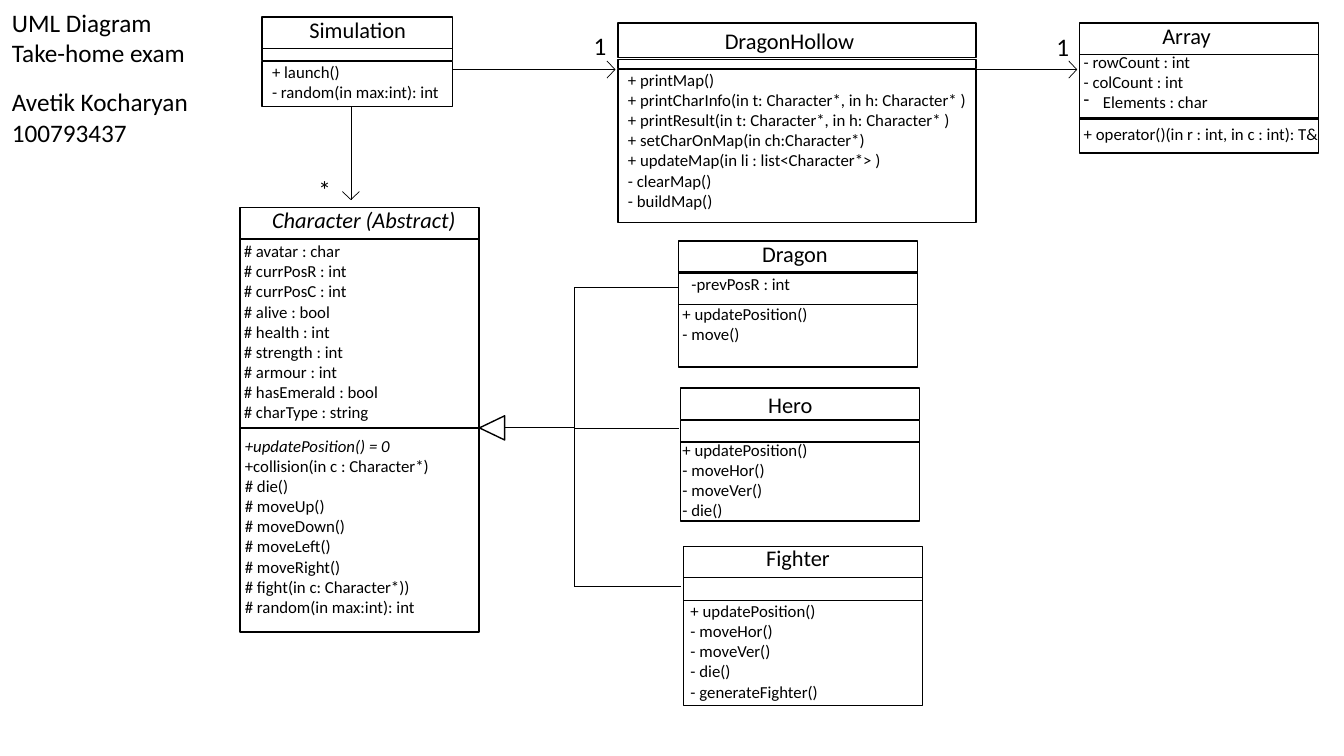
"""Draw a UML class diagram of a dungeon simulation on one slide."""
from lxml import etree
from pptx import Presentation
from pptx.dml.color import RGBColor
from pptx.enum.shapes import MSO_CONNECTOR, MSO_SHAPE
from pptx.enum.text import MSO_AUTO_SIZE
from pptx.oxml.ns import qn
from pptx.util import Inches, Pt

RECT = MSO_SHAPE.RECTANGLE
CONE = MSO_SHAPE.FLOWCHART_EXTRACT
LINE = MSO_CONNECTOR.STRAIGHT
GROW = MSO_AUTO_SIZE.SHAPE_TO_FIT_TEXT
THEME = {
    "ink": RGBColor(0, 0, 0), "font": "Calibri",
    "note": 18, "head": 16, "body": 12,
    "edge": Pt(1), "wire": Pt(0.5),
}
CELL = Inches(0.1)

deck = Presentation()
deck.slide_width, deck.slide_height = Inches(13.33), Inches(7.5)
slide = deck.slides.add_slide(deck.slide_layouts[6])
shapes = slide.shapes


def grid(*cells):
    return [round(cell * CELL) for cell in cells]


def write(text, at, size="body", slant=0, dash=None):
    box = shapes.add_textbox(*grid(*at))
    frame = box.text_frame
    frame.word_wrap = True
    frame.auto_size = GROW
    for row, line in enumerate(text.split("\n")):
        para = frame.add_paragraph() if row else frame.paragraphs[0]
        run = para.add_run()
        run.text = line
        run.font.name = THEME["font"]
        run.font.size = Pt(THEME[size])
        run.font.color.rgb = THEME["ink"]
        run.font.italic = row < slant
        if row == dash:
            props = para._p.get_or_add_pPr()
            props.set("marL", str(Inches(0.19)))
            props.set("indent", str(-Inches(0.19)))
            etree.SubElement(props, qn("a:buChar")).set("char", "-")


# name, title (left, top, width), slant, left edge, width, bands (top, height)
classes = [
    ("Simulation", (29.7, 1.1, 11.9), 0, 26, 18.9,
     [(1.7, 3.1), (4.8, 1.2), (6.1, 4.5)]),
    ("DragonHollow", (70.9, 2.2, 18), 0, 61.3, 35.5,
     [(2.3, 3.4), (5.9, 0.9), (6.9, 15.2)]),
    ("Array", (114.3, 1.7, 18), 0, 107.1, 23.7,
     [(2.3, 3.1), (5.4, 6.4), (11.7, 3.5)]),
    ("Character (Abstract)", (26, 20, 20.3), 1, 23.8, 23.7,
     [(20.6, 3.1), (23.7, 18.8), (42.4, 20.3)]),
    ("Dragon", (74.6, 23.3, 9), 0, 67.3, 23.7,
     [(23.9, 3.1), (27.1, 3.1), (30.2, 6.2)]),
    ("Hero", (75.2, 38.3, 18.2), 0, 67.5, 23.7,
     [(38.5, 3.1), (41.7, 2.2), (43.8, 7.9)]),
    ("Fighter", (75, 53.5, 18.2), 0, 67.8, 23.7,
     [(54.2, 3.1), (57.3, 2.3), (59.6, 10.4)]),
]
boxes = [(RECT, left, top, width, height, 0)
         for _, _, _, left, width, bands in classes for top, height in bands]
boxes.append((CONE, 47.6, 41.2, 2.4, 2.5, 270))
for kind, left, top, width, height, turn in boxes:
    box = shapes.add_shape(kind, *grid(left, top, width, height))
    box.shadow.inherit = False
    box.fill.background()
    box.line.color.rgb = THEME["ink"]
    box.line.width = THEME["edge"]
    box.rotation = turn
for name, (left, top, width), slant, *_ in classes:
    write(name, (left, top, width, 3.7), size="head", slant=slant)

write("+ launch()\n- random(in max:int): int", (26, 5.6, 19.6, 5))
write("""+ printMap()
+ printCharInfo(in t: Character*, in h: Character* )
+ printResult(in t: Character*, in h: Character* )
+ setCharOnMap(in ch:Character*)
+ updateMap(in li : list<Character*> )
- clearMap()
- buildMap()""", (61.3, 6.4, 35.9, 15.1))
write("- rowCount : int\n- colCount : int\nElements : char",
      (106.5, 4.6, 26.2, 11.1), dash=2)
write("+ operator()(in r : int, in c : int): T&", (106.5, 11.8, 26.2, 3))
write("""# avatar : char
# currPosR : int
# currPosC : int
# alive : bool
# health : int
# strength : int
# armour : int
# hasEmerald : bool
# charType : string""", (23.2, 23.4, 23.1, 19.2))
write("""+updatePosition() = 0
+collision(in c : Character*)
# die()
# moveUp()
# moveDown()
# moveLeft()
# moveRight()
# fight(in c: Character*))
# random(in max:int): int""", (23.3, 42.7, 23.1, 21.2), slant=1)
write("-prevPosR : int", (67.6, 26.7, 16.1, 3))
write("+ updatePosition()\n- move()", (66.7, 29.6, 23.1, 5))
moves = "+ updatePosition()\n- moveHor()\n- moveVer()\n- die()"
write(moves, (66.7, 43.1, 23.1, 11.1))
write(moves + "\n- generateFighter()", (67.5, 59.1, 23.1, 19.2))

for mark, left, top in [("*", 30.6, 16.8), ("1", 57.9, 2.5), ("1", 103.8, 2.6)]:
    write(mark, (left, top, 3.4, 4), size="note")
write("UML Diagram\nTake-home exam", (0.2, 0.2, 30.6, 7.1), size="note")
write("Avetik Kocharyan\n100793437", (0.2, 8.1, 30.6, 7.1), size="note")

wires = [(50.1, 42.4, 57, 42.4), (57, 28.5, 57, 58.2)]
wires += [(57, row, end, row)
          for row, end in [(28.5, 67.2), (42.5, 67.3), (58.2, 67.5)]]
arrows = [(44.9, 6.9, 61, 6.9), (96.8, 6.9, 106.8, 6.9), (34.8, 10.6, 34.8, 19.8)]
for x, y, tipx, tipy in arrows:
    wires.append((x, y, tipx, tipy))
    for side in (-0.85, 0.85):
        wing = (tipx - 0.8, tipy + side) if y == tipy else (tipx + side, tipy - 0.8)
        wires.append((*wing, tipx, tipy))
for ends in wires:
    wire = shapes.add_connector(LINE, *grid(*ends))
    wire.line.color.rgb = THEME["ink"]
    wire.line.width = THEME["wire"]
    etree.SubElement(wire._element.spPr, qn("a:effectLst"))

deck.save("out.pptx")
